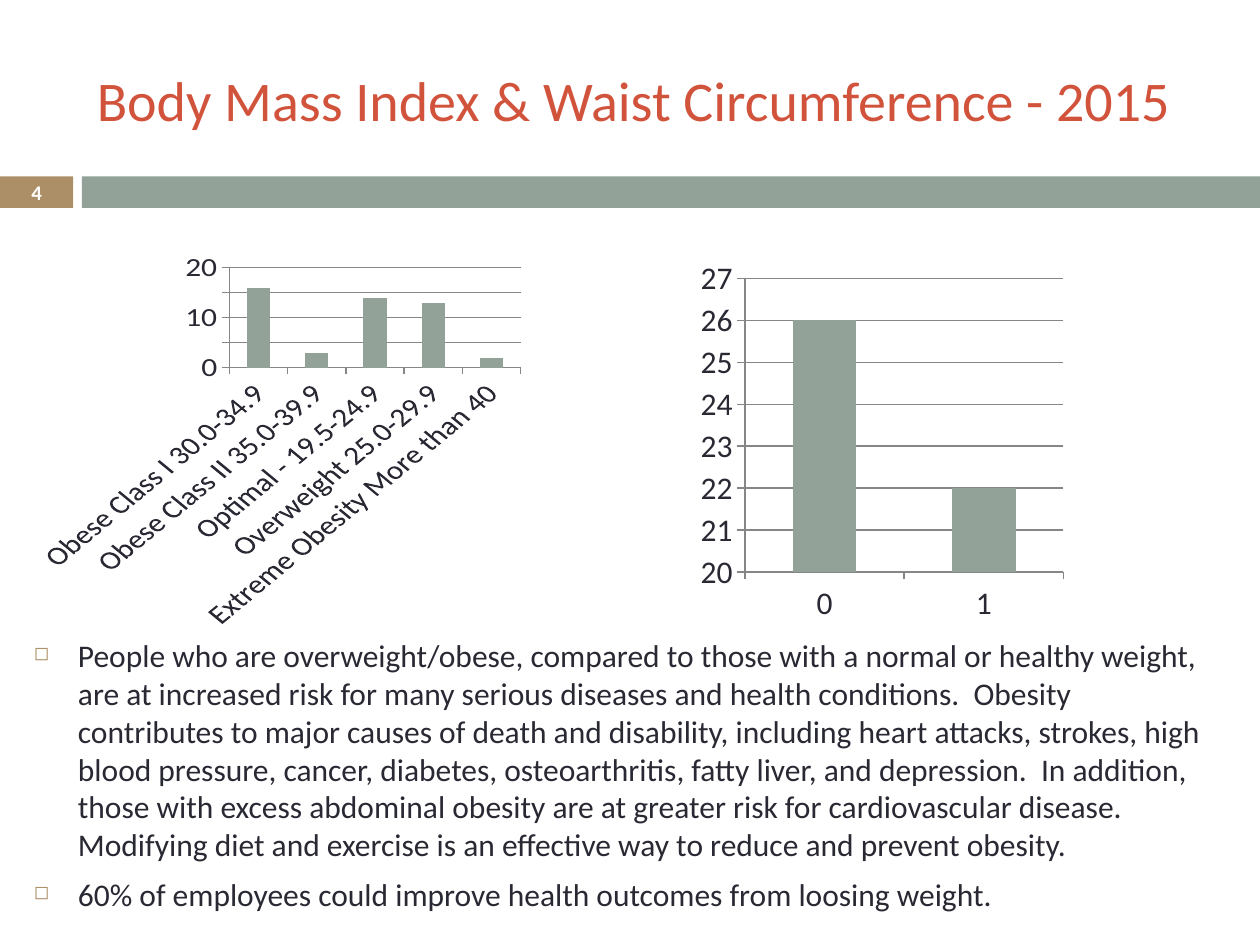
from lxml.etree import SubElement
from pptx import Presentation
from pptx.chart.data import CategoryChartData as ChartData
from pptx.dml.color import RGBColor
from pptx.enum.chart import XL_CHART_TYPE as ChartType, XL_TICK_MARK as Tick
from pptx.enum.shapes import MSO_SHAPE as Shape
from pptx.enum.text import MSO_ANCHOR as Anchor, PP_ALIGN as Align
from pptx.oxml.ns import qn
from pptx.util import Inches, Pt

COLORS = {"title": "D2533C", "text": "292934", "sage": "93A299",
          "tan": "AD8F67", "white": "FFFFFF", "axis": "868686"}
FONT = "Calibri"
CELL = 0.25  # the slide is a grid of 40 columns by 30 rows


def color(name):
    return RGBColor.from_string(COLORS[name])


class SlideBuilder:
    def __init__(self, deck):
        self.page = deck.slides.add_slide(deck.slide_layouts[6])

    def place(self, *cells):
        return [Inches(cell * CELL) for cell in cells]

    def style(self, font, size, tint, bold=False):
        for name, value in {"name": FONT, "size": Pt(size), "bold": bold}.items():
            setattr(font, name, value)
        font.color.rgb = color(tint)

    def band(self, cells, tint):
        box = self.page.shapes.add_shape(Shape.RECTANGLE, *self.place(*cells))
        box.shadow.inherit = False
        box.fill.solid()
        box.fill.fore_color.rgb = color(tint)
        box.line.fill.background()

    def text(self, cells, lines, size, tint, bold=False, align=Align.LEFT,
             anchor=Anchor.MIDDLE, bullets=False):
        frame = self.page.shapes.add_textbox(*self.place(*cells)).text_frame
        for name, value in {"word_wrap": True, "vertical_anchor": anchor}.items():
            setattr(frame, name, value)
        for index, line in enumerate(lines):
            para = frame.add_paragraph() if index else frame.paragraphs[0]
            para.alignment = align
            span = para.add_run()
            span.text = line
            self.style(span.font, size, tint, bold)
            if bullets:
                para.space_before = Pt(7)
                self.bullet(para)

    def bullet(self, para):
        props = para._p.get_or_add_pPr()
        props.set("marL", str(Inches(0.35)))
        props.set("indent", str(-Inches(0.35)))
        tint = SubElement(props, qn("a:buClr"))
        SubElement(tint, qn("a:srgbClr"), val=COLORS["tan"])
        SubElement(props, qn("a:buSzPct"), val="60000")
        SubElement(props, qn("a:buChar"), char="◻")

    def columns(self, cells, values, scale):
        data = ChartData()
        data.categories = list(values)
        data.add_series("Series 1", list(values.values()))
        chart = self.page.shapes.add_chart(
            ChartType.COLUMN_CLUSTERED, *self.place(*cells), data).chart
        chart.has_legend = False
        chart.has_title = False
        self.style(chart.font, 18, "text")

        plot = chart.plots[0]
        plot.vary_by_categories = False
        plot.gap_width = 150
        fill = plot.series[0].format.fill
        fill.solid()
        fill.fore_color.rgb = color("sage")

        axis = chart.value_axis
        axis.has_major_gridlines = True
        for name, value in zip(("minimum_scale", "maximum_scale", "major_unit"), scale):
            setattr(axis, name, value)
        for side in (axis, chart.category_axis):
            side.major_tick_mark = Tick.OUTSIDE
            side.minor_tick_mark = Tick.NONE
        for part in (axis, chart.category_axis, axis.major_gridlines):
            part.format.line.color.rgb = color("axis")
            part.format.line.width = Pt(0.75)


def main():
    deck = Presentation()
    deck.slide_width, deck.slide_height = Inches(40 * CELL), Inches(30 * CELL)
    slide = SlideBuilder(deck)

    # Header bands, title and page number
    slide.band((0, 5.6, 2.32, 1), "tan")
    slide.band((2.6, 5.6, 37.4, 1), "sage")
    slide.text((2.68, 1, 37.32, 4.32),
               ["Body Mass Index & Waist Circumference - 2015"], 32, "title")

    # Findings
    slide.text((0.68, 20, 38.32, 9), [
        "People who are overweight/obese, compared to those with a normal or healthy "
        "weight, are at increased risk for many serious diseases and health conditions.  "
        "Obesity contributes to major causes of death and disability, including heart "
        "attacks, strokes, high blood pressure, cancer, diabetes, osteoarthritis, fatty "
        "liver, and depression.  In addition, those with excess abdominal obesity are at "
        "greater risk for cardiovascular disease.  Modifying diet and exercise is an "
        "effective way to reduce and prevent obesity.",
        "60% of employees could improve health outcomes from loosing weight.",
    ], 18, "text", anchor=Anchor.TOP, bullets=True)
    slide.text((0, 5.56, 2.32, 1.08), ["4"], 11.9, "white", bold=True,
               align=Align.CENTER)

    # Body mass index and waist circumference charts
    slide.columns((1, 8, 16, 12), {
        "Obese Class I 30.0-34.9": 16,
        "Obese Class II 35.0-39.9": 3,
        "Optimal - 19.5-24.9": 14,
        "Overweight 25.0-29.9": 13,
        "Extreme Obesity More than 40": 2,
    }, (0, 20, 5))
    slide.columns((22, 8, 12, 12), {"0": 26, "1": 22}, (20, 27, 1))

    deck.save("out.pptx")


if __name__ == "__main__":
    main()
